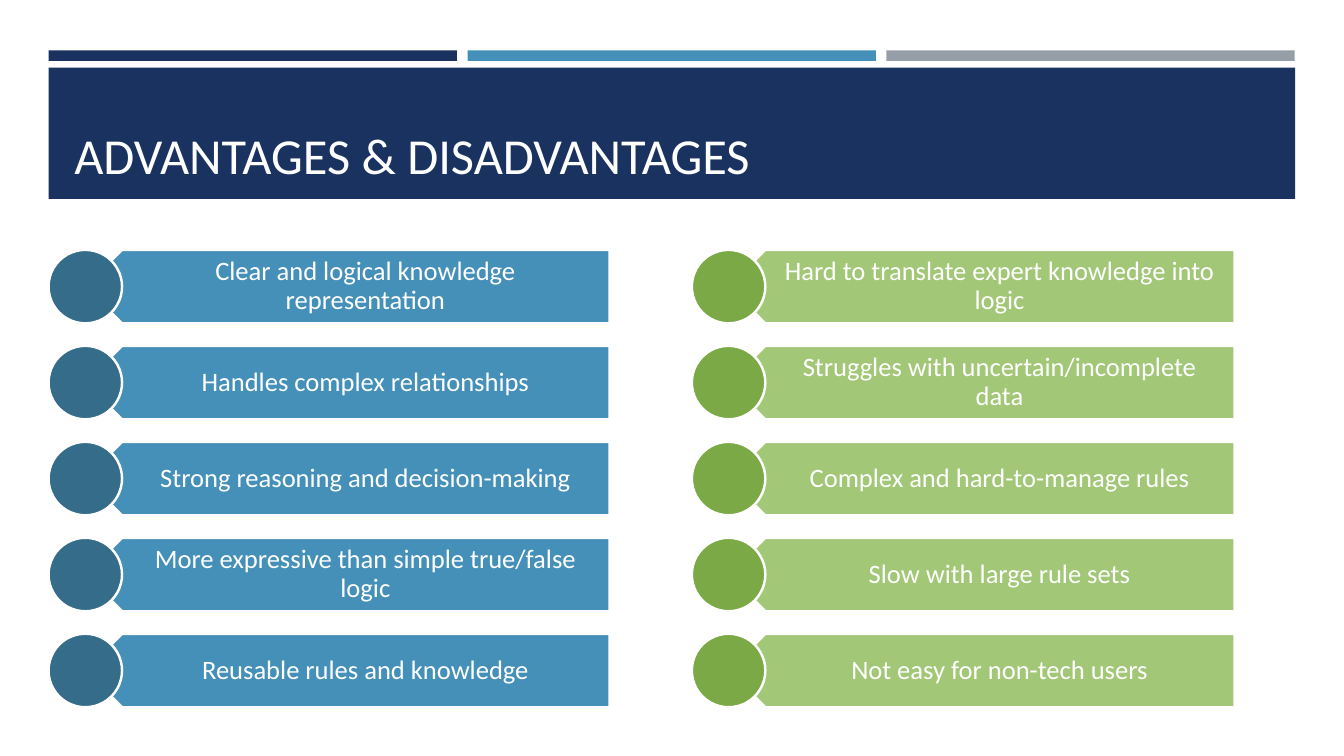
"""Build the slide that sets advantages beside disadvantages."""
from pptx import Presentation
from pptx.dml.color import RGBColor
from pptx.enum.shapes import MSO_SHAPE as Preset
from pptx.enum.text import MSO_ANCHOR as Anchor, PP_ALIGN as Align
from pptx.util import Pt

NAVY = RGBColor(0x1A, 0x32, 0x60)
BLUE = RGBColor(0x45, 0x90, 0xB8)
DARK_BLUE = RGBColor(0x34, 0x6C, 0x8A)
GRAY = RGBColor(0x96, 0x9F, 0xA7)
GREEN = RGBColor(0xA2, 0xC7, 0x77)
DARK_GREEN = RGBColor(0x7B, 0xA9, 0x46)
WHITE = RGBColor(0xFF, 0xFF, 0xFF)
FONT = "Calibri"

TITLE = "ADVANTAGES & DISADVANTAGES"
STRIPES = [NAVY, BLUE, GRAY]
COLUMNS = [
    {
        "left": 34.7, "bar_width": 374.5, "bar": BLUE, "circle": DARK_BLUE,
        "points": [
            "Clear and logical knowledge representation",
            "Handles complex relationships",
            "Strong reasoning and decision-making",
            "More expressive than simple true/false logic",
            "Reusable rules and knowledge",
        ],
    },
    {
        "left": 494.2, "bar_width": 361.5, "bar": GREEN, "circle": DARK_GREEN,
        "points": [
            "Hard to translate expert knowledge into logic",
            "Struggles with uncertain/incomplete data",
            "Complex and hard-to-manage rules",
            "Slow with large rule sets",
            "Not easy for non-tech users",
        ],
    },
]

MARGIN = 34.8
STRIPE_WIDTH, STRIPE_PITCH = 291.6, 299.2
ROW_TOP, ROW_PITCH, ROW_HEIGHT = 178.5, 68.55, 52.5
TEXT_SHIFT = ROW_HEIGHT / 4


def add_block(page, preset, place, color, outline=None):
    block = page.shapes.add_shape(preset, *map(Pt, place))
    block.shadow.inherit = False
    block.fill.solid()
    block.fill.fore_color.rgb = color
    if outline:
        block.line.color.rgb = outline
        block.line.width = Pt(1.75)
    else:
        block.line.fill.background()
    return block


def add_text(page, place, text, size, anchor, align, insets, spacing):
    box = page.shapes.add_textbox(*map(Pt, place))
    frame = box.text_frame
    frame.word_wrap = True
    frame.vertical_anchor = anchor
    frame.margin_left, frame.margin_top, frame.margin_right, frame.margin_bottom = map(Pt, insets)
    para = frame.paragraphs[0]
    para.alignment = align
    para.line_spacing = spacing
    span = para.add_run()
    span.text = text
    span.font.name = FONT
    span.font.size = Pt(size)
    span.font.color.rgb = WHITE


def add_row(page, column, top, text):
    left = column["left"]
    bar_left = left + ROW_HEIGHT / 2
    bar_width = column["bar_width"]
    bar = add_block(page, Preset.PENTAGON, (bar_left, top, bar_width, ROW_HEIGHT), column["bar"], WHITE)
    bar.rotation = 180
    place = (bar_left + TEXT_SHIFT, top, bar_width - TEXT_SHIFT, ROW_HEIGHT)
    add_text(page, place, text, 19, Anchor.MIDDLE, Align.CENTER, (23.15, 5.4, 10.8, 5.4), 0.9)
    add_block(page, Preset.OVAL, (left, top, ROW_HEIGHT, ROW_HEIGHT), column["circle"], WHITE)


def main():
    deck = Presentation()
    deck.slide_width, deck.slide_height = Pt(960), Pt(540)
    page = deck.slides.add_slide(deck.slide_layouts[6])
    for index, color in enumerate(STRIPES):
        add_block(page, Preset.RECTANGLE, (MARGIN + index * STRIPE_PITCH, 36, STRIPE_WIDTH, 7.5), color)
    add_block(page, Preset.RECTANGLE, (MARGIN, 48.3, 890.3, 93.8), NAVY)
    add_text(page, (46, 55.4, 868.3, 79.9), TITLE, 36, Anchor.BOTTOM, Align.LEFT, (7.2, 3.6, 7.2, 3.6), 1.0)
    for column in COLUMNS:
        for index, text in enumerate(column["points"]):
            add_row(page, column, ROW_TOP + index * ROW_PITCH, text)
    deck.save("out.pptx")


if __name__ == "__main__":
    main()
